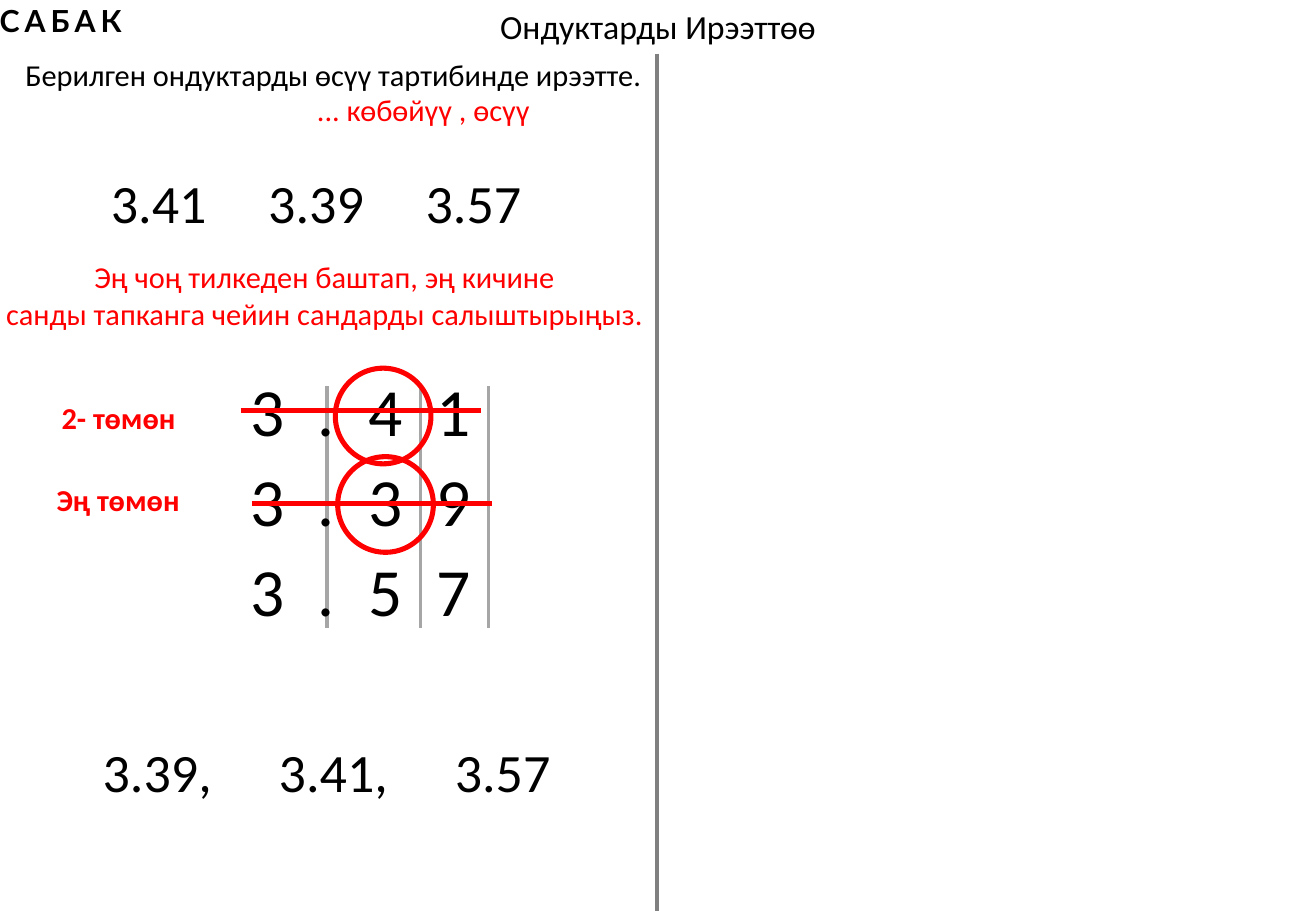
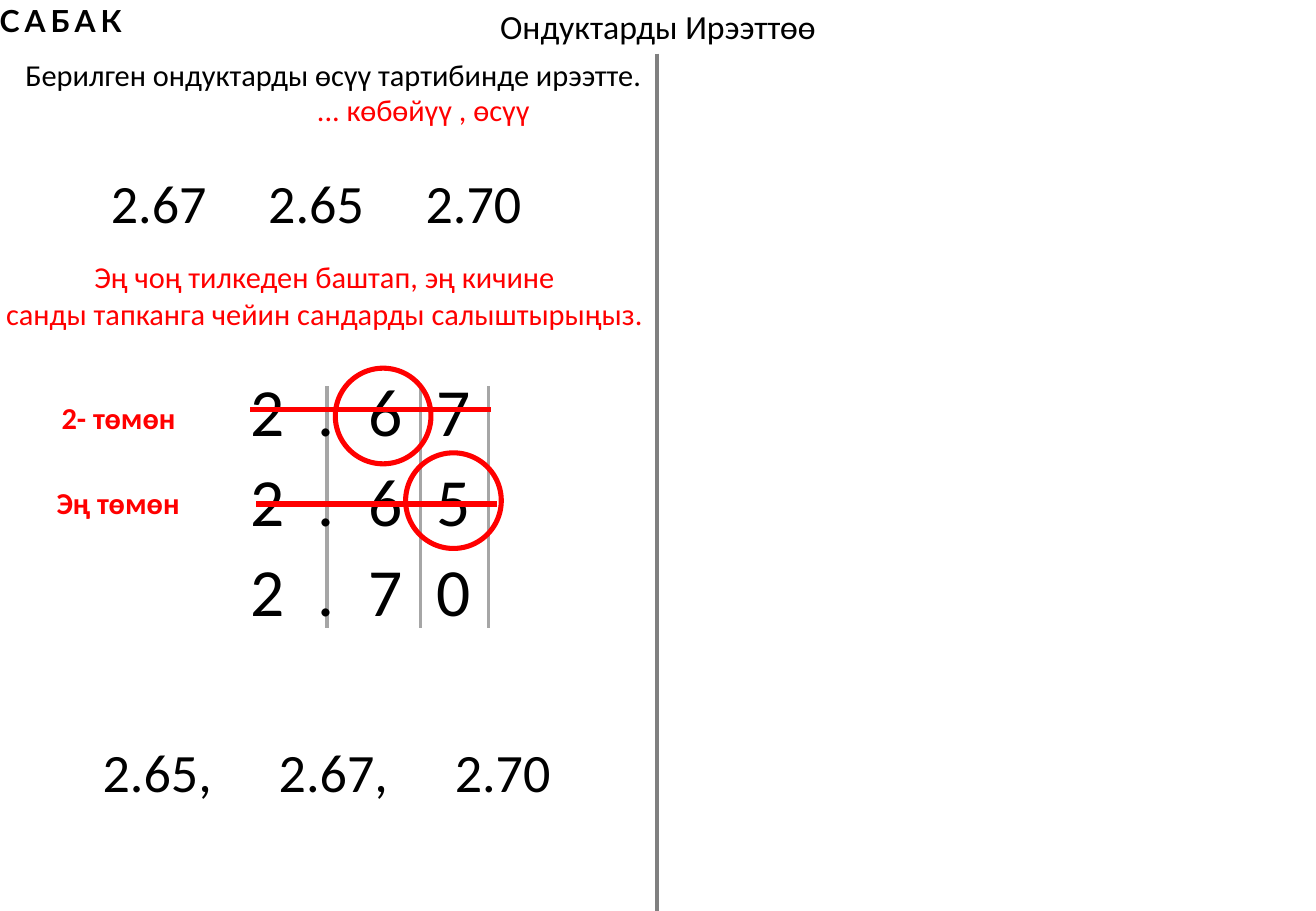
from dataclasses import dataclass

from lxml.etree import SubElement
from pptx import Presentation
from pptx.dml.color import RGBColor
from pptx.enum.shapes import MSO_CONNECTOR as Connector, MSO_SHAPE as Shape
from pptx.enum.text import MSO_ANCHOR as Anchor, MSO_AUTO_SIZE as AutoSize, PP_ALIGN as Align
from pptx.oxml.ns import qn
from pptx.util import Cm, Pt

BLACK, RED = "000000", "FF0000"
COLUMN_GRAY, DIVIDER_GRAY = "A6A6A6", "808080"
SLIDE_WIDTH, SLIDE_HEIGHT = 27.51, 19.05
DIVIDER_X, DIVIDER_TOP = 13.74, 1.12
CIRCLE_SIZE, STRIKE_LENGTH = 2, 5.03
COLUMN_LINES, COLUMN_TOP, COLUMN_BOTTOM = (6.83, 8.79, 10.21), 8.08, 13.13
TITLE = "Ондуктарды Ирээттөө"


@dataclass(frozen=True)
class Style:
    size: float = 18
    color: str = BLACK
    bold: bool = False
    font: str = "Calibri"
    spacing: float = 0
    align: Align = Align.CENTER


@dataclass(frozen=True)
class Label:
    text: str
    left: float
    top: float
    width: float
    height: float
    style: Style


@dataclass(frozen=True)
class Mark:
    """Left and top of a circle, or left end of a strike line."""
    left: float
    top: float


@dataclass(frozen=True)
class Exercise:
    numbers: tuple[str, ...]
    lowest_top: float
    circles: tuple[Mark, ...]
    strikes: tuple[Mark, ...]


TITLE_STYLE = Style(size=20)
NUMBER = Style(size=32)
DIGITS = Style(size=40, spacing=20, align=Align.LEFT)
NOTE = Style(color=RED)
RANK = Style(color=RED, bold=True)

SHARED_LABELS = (
    Label("Берилген ондуктарды өсүү тартибинде ирээтте.", 0.2, 1.04, 13.54, 1.02, Style()),
    Label("... көбөйүү , өсүү", 6.35, 1.78, 5, 1.02, NOTE),
    Label("Эң чоң тилкеден баштап, эң кичине\nсанды тапканга чейин сандарды салыштырыңыз.",
          -0.2, 5.28, 13.97, 1.8, NOTE),
    Label("2- төмөн", 1.02, 8.23, 2.92, 1.02, RANK),
    Label("САБАК", -0.28, -0.08, 3.1, 1.02, Style(bold=True, font="Lato", spacing=3)),
)

EXERCISES = (
    Exercise(("3.41", "3.39", "3.57"), 9.93,
             (Mark(7.01, 7.7), Mark(7.06, 9.55)), (Mark(5.03, 8.59), Mark(5.26, 10.52))),
    Exercise(("2.67", "2.65", "2.70"), 10.01,
             (Mark(7.01, 7.7), Mark(8.48, 9.47)), (Mark(5.23, 8.56), Mark(5.36, 10.54))),
)


def rgb(color: str) -> RGBColor:
    return RGBColor.from_string(color)


def write(shape, text: str, style: Style) -> None:
    frame = shape.text_frame
    frame.word_wrap = False
    frame.auto_size = AutoSize.SHAPE_TO_FIT_TEXT
    frame.vertical_anchor = Anchor.TOP
    frame.text = text
    for paragraph in frame.paragraphs:
        paragraph.alignment = style.align
        for run in paragraph.runs:
            run.font.size = Pt(style.size)
            run.font.name = style.font
            run.font.bold = style.bold
            run.font.color.rgb = rgb(style.color)
            if style.spacing:
                run.font._element.set("spc", str(round(style.spacing * 100)))


def add_label(slide, label: Label) -> None:
    shape = slide.shapes.add_textbox(
        Cm(label.left), Cm(label.top), Cm(label.width), Cm(label.height))
    write(shape, label.text, label.style)


def add_line(slide, x1: float, y1: float, x2: float, y2: float, color: str, width: float) -> None:
    line = slide.shapes.add_connector(Connector.STRAIGHT, Cm(x1), Cm(y1), Cm(x2), Cm(y2))
    line.line.color.rgb = rgb(color)
    line.line.width = Pt(width)
    SubElement(line._element.spPr, qn("a:effectLst"))


def add_circle(slide, mark: Mark) -> None:
    circle = slide.shapes.add_shape(
        Shape.OVAL, Cm(mark.left), Cm(mark.top), Cm(CIRCLE_SIZE), Cm(CIRCLE_SIZE))
    circle.shadow.inherit = False
    circle.fill.background()
    circle.line.color.rgb = rgb(RED)
    circle.line.width = Pt(3)


def add_frame(slide) -> None:
    title = slide.shapes.title
    title.left, title.top, title.width, title.height = Cm(10.16), Cm(0), Cm(7.19), Cm(1.12)
    write(title, TITLE, TITLE_STYLE)
    add_line(slide, DIVIDER_X, DIVIDER_TOP, DIVIDER_X, SLIDE_HEIGHT, DIVIDER_GRAY, 2.25)
    for label in SHARED_LABELS:
        add_label(slide, label)


def add_exercise(slide, exercise: Exercise) -> None:
    # Place-value columns
    for x in COLUMN_LINES:
        add_line(slide, x, COLUMN_TOP, x, COLUMN_BOTTOM, COLUMN_GRAY, 2.25)

    # Given numbers, in a row and stacked by digit
    for index, number in enumerate(exercise.numbers):
        add_label(slide, Label(number, 2.05 + 3.29 * index, 3.43, 2.54, 1.63, NUMBER))
        add_label(slide, Label(number, 4.98, 7.59 + 1.88 * index, 5.89, 1.96, DIGITS))

    # Sorted answer
    answer = sorted(exercise.numbers)
    for index, number in enumerate(answer):
        is_last = index == len(answer) - 1
        text, width = (number, 2.54) if is_last else (f"{number},", 2.82)
        add_label(slide, Label(text, 1.88 + 3.68 * index, 15.32, width, 1.63, NUMBER))

    # Ranking marks
    add_label(slide, Label("Эң төмөн", 0.91, exercise.lowest_top, 3.12, 1.02, RANK))
    for circle in exercise.circles:
        add_circle(slide, circle)
    for strike in exercise.strikes:
        add_line(slide, strike.left, strike.top,
                 strike.left + STRIKE_LENGTH, strike.top, RED, 3)


def main() -> None:
    presentation = Presentation()
    presentation.slide_width, presentation.slide_height = Cm(SLIDE_WIDTH), Cm(SLIDE_HEIGHT)
    title_only = presentation.slide_layouts[5]
    for exercise in EXERCISES:
        slide = presentation.slides.add_slide(title_only)
        add_frame(slide)
        add_exercise(slide, exercise)
    presentation.save("out.pptx")


if __name__ == "__main__":
    main()
